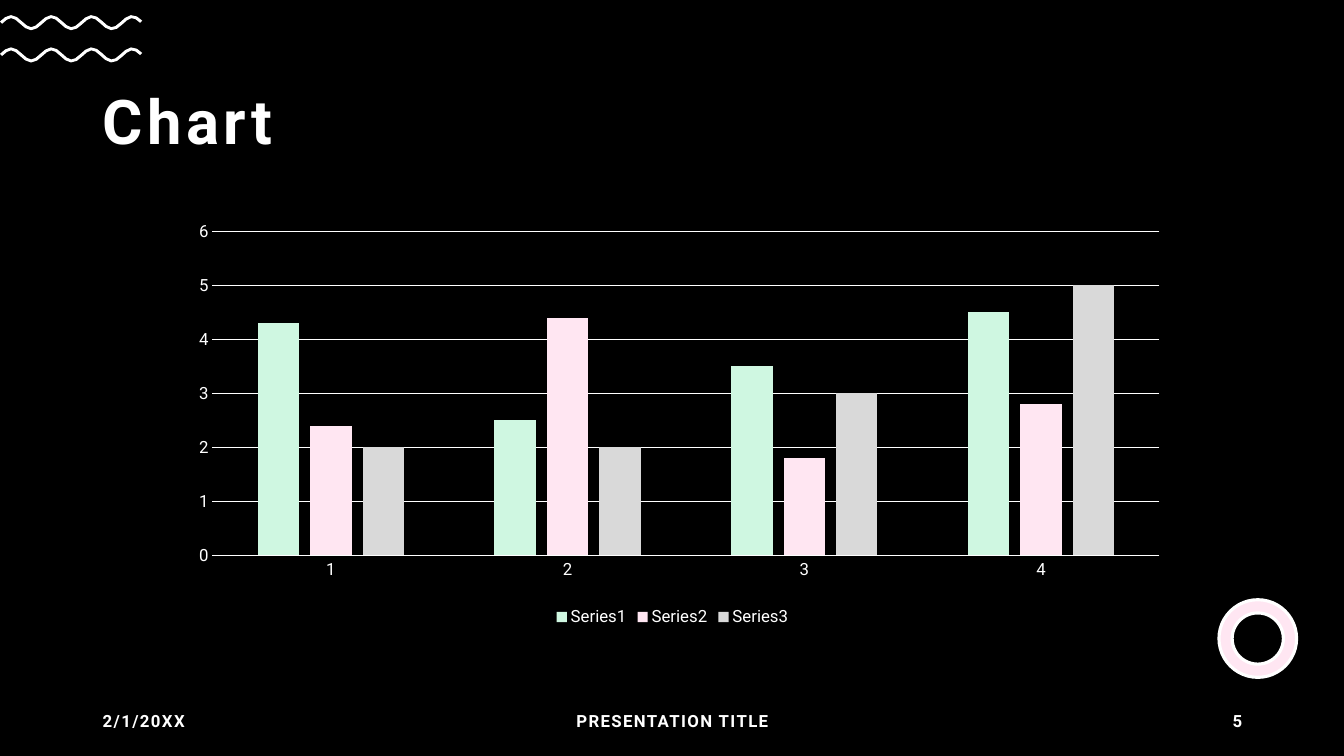
import math

import pptx
import pptx.chart.data
import pptx.dml.color
import pptx.enum.chart
import pptx.enum.shapes
import pptx.enum.text
import pptx.oxml
import pptx.oxml.ns
import pptx.util
from pptx.util import Inches

# Content
COLORS = {"black": "000000", "white": "FFFFFF", "mint": "CFF7E1",
          "pink": "FFE6F2", "gray": "D9D9D9"}
FONT = "Roboto"
TITLE = "Chart"
CATEGORIES = ["1", "2", "3", "4"]
SERIES = [  # values, color
    ((4.3, 2.5, 3.5, 4.5), "mint"),
    ((2.4, 4.4, 1.8, 2.8), "pink"),
    ((2, 2, 3, 5), "gray"),
]
FOOTERS = [  # text, left, width, alignment
    ("2/1/20XX", 0.92, 3, "LEFT"),
    ("PRESENTATION TITLE", 4.42, 4.5, "CENTER"),
    ("5", 9.42, 3, "RIGHT"),
]
PLOT = {"x": 0.041, "y": 0.026, "w": 0.945, "h": 0.79}
WAVE_TOPS = (0.15, 0.47)
WAVE = {"start": 0.01, "end": 1.4, "crest": 0.11, "period": 0.4,
        "amplitude": 0.06, "thickness": 0.03, "steps": 28}


def rgb(name):
    return pptx.dml.color.RGBColor.from_string(COLORS[name])


def box(left, top, width, height):
    return [Inches(v) for v in (left, top, width, height)]


def set_font(font, size, bold=False):
    font.name = FONT
    font.size = pptx.util.Pt(size)
    font.bold = bold
    font.color.rgb = rgb("white")


def write(shape, text, size, spacing, align="LEFT"):
    tf = shape.text_frame
    tf.word_wrap = True
    tf.auto_size = pptx.enum.text.MSO_AUTO_SIZE.NONE
    tf.vertical_anchor = pptx.enum.text.MSO_ANCHOR.MIDDLE
    p = tf.paragraphs[0]
    p.alignment = getattr(pptx.enum.text.PP_ALIGN, align)
    set_font(p.font, size, bold=True)
    r = p.add_run()
    r.text = text
    r._r.get_or_add_rPr().set("spc", str(spacing * 100))
    return p


def white_line(line, width):
    line.color.rgb = rgb("white")
    line.width = pptx.util.Pt(width)


def add_wave(s, top):
    """Draw a cosine ribbon of even thickness."""
    half, amp = WAVE["thickness"] / 2, WAVE["amplitude"]
    turn = 2 * math.pi / WAVE["period"]
    upper, lower = [], []
    for i in range(WAVE["steps"] + 1):
        x = WAVE["start"] + (WAVE["end"] - WAVE["start"]) * i / WAVE["steps"]
        angle = turn * (x - WAVE["crest"])
        y = top + half + amp * (1 - math.cos(angle))
        slope = amp * turn * math.sin(angle)
        norm = math.hypot(1, slope)
        dx, dy = half * slope / norm, half / norm
        upper.append((Inches(x + dx), Inches(y - dy)))
        lower.append((Inches(x - dx), Inches(y + dy)))
    outline = upper + lower[::-1]
    builder = s.shapes.build_freeform(*outline[0])
    builder.add_line_segments(outline[1:], close=True)
    sp = builder.convert_to_shape()
    sp.shadow.inherit = False
    sp.fill.solid()
    sp.fill.fore_color.rgb = rgb("white")
    sp.line.fill.background()


prs = pptx.Presentation()
prs.slide_width, prs.slide_height = Inches(13.33), Inches(7.5)
s = prs.slides.add_slide(prs.slide_layouts[5])
s.background.fill.solid()
s.background.fill.fore_color.rgb = rgb("black")

# Decorations: waves and ring
for top in WAVE_TOPS:
    add_wave(s, top)
ring = s.shapes.add_shape(pptx.enum.shapes.MSO_SHAPE.DONUT,
                          *box(12.09, 5.95, 0.77, 0.77))
ring.adjustments[0] = 0.17
ring.shadow.inherit = False
ring.fill.solid()
ring.fill.fore_color.rgb = rgb("pink")
white_line(ring.line, 2.25)

# Title
title = s.shapes.title
title.left, title.top, title.width, title.height = box(0.92, 0.62, 11.5, 1.23)
write(title, TITLE, 44, 3).line_spacing = 0.9

# Chart
data = pptx.chart.data.CategoryChartData()
data.categories = CATEGORIES
for values, _ in SERIES:
    data.add_series("", values)
chart = s.shapes.add_chart(pptx.enum.chart.XL_CHART_TYPE.COLUMN_CLUSTERED,
                           *box(1.7, 2.19, 9.94, 4.07), data).chart
chart.has_title = False
set_font(chart.font, 10)
chart.has_legend = True
chart.legend.position = pptx.enum.chart.XL_LEGEND_POSITION.BOTTOM
chart.legend.include_in_layout = False
set_font(chart.legend.font, 12)

plot = chart.plots[0]
plot.vary_by_categories = False
plot.gap_width, plot.overlap = 219, -27
for series, (_, color) in zip(plot.series, SERIES):
    series.format.fill.solid()
    series.format.fill.fore_color.rgb = rgb(color)
    # Unnamed series get numbered legend entries
    ser = series._element
    ser.remove(ser.find(pptx.oxml.ns.qn("c:tx")))

# Axes
for axis in (chart.category_axis, chart.value_axis):
    axis.major_tick_mark = pptx.enum.chart.XL_TICK_MARK.NONE
    axis.minor_tick_mark = pptx.enum.chart.XL_TICK_MARK.NONE
    set_font(axis.tick_labels.font, 12)
white_line(chart.category_axis.format.line, 0.75)
value_axis = chart.value_axis
value_axis.minimum_scale, value_axis.maximum_scale = 0, 6
value_axis.major_unit = 1
value_axis.format.line.fill.background()
white_line(value_axis.major_gridlines.format.line, 0.75)

# Fixed inner plot area
plot_area = chart._chartSpace.chart.plotArea
for old in plot_area.findall(pptx.oxml.ns.qn("c:layout")):
    plot_area.remove(old)
settings = [("layoutTarget", "inner"), ("xMode", "edge"), ("yMode", "edge")]
settings += PLOT.items()
plot_area.insert(0, pptx.oxml.parse_xml(
    f"<c:layout {pptx.oxml.ns.nsdecls('c')}><c:manualLayout>"
    + "".join(f'<c:{tag} val="{val}"/>' for tag, val in settings)
    + "</c:manualLayout></c:layout>"))

# Footer
for text, left, width, align in FOOTERS:
    write(s.shapes.add_textbox(*box(left, 6.95, width, 0.4)), text, 12, 1, align)

prs.save("out.pptx")
